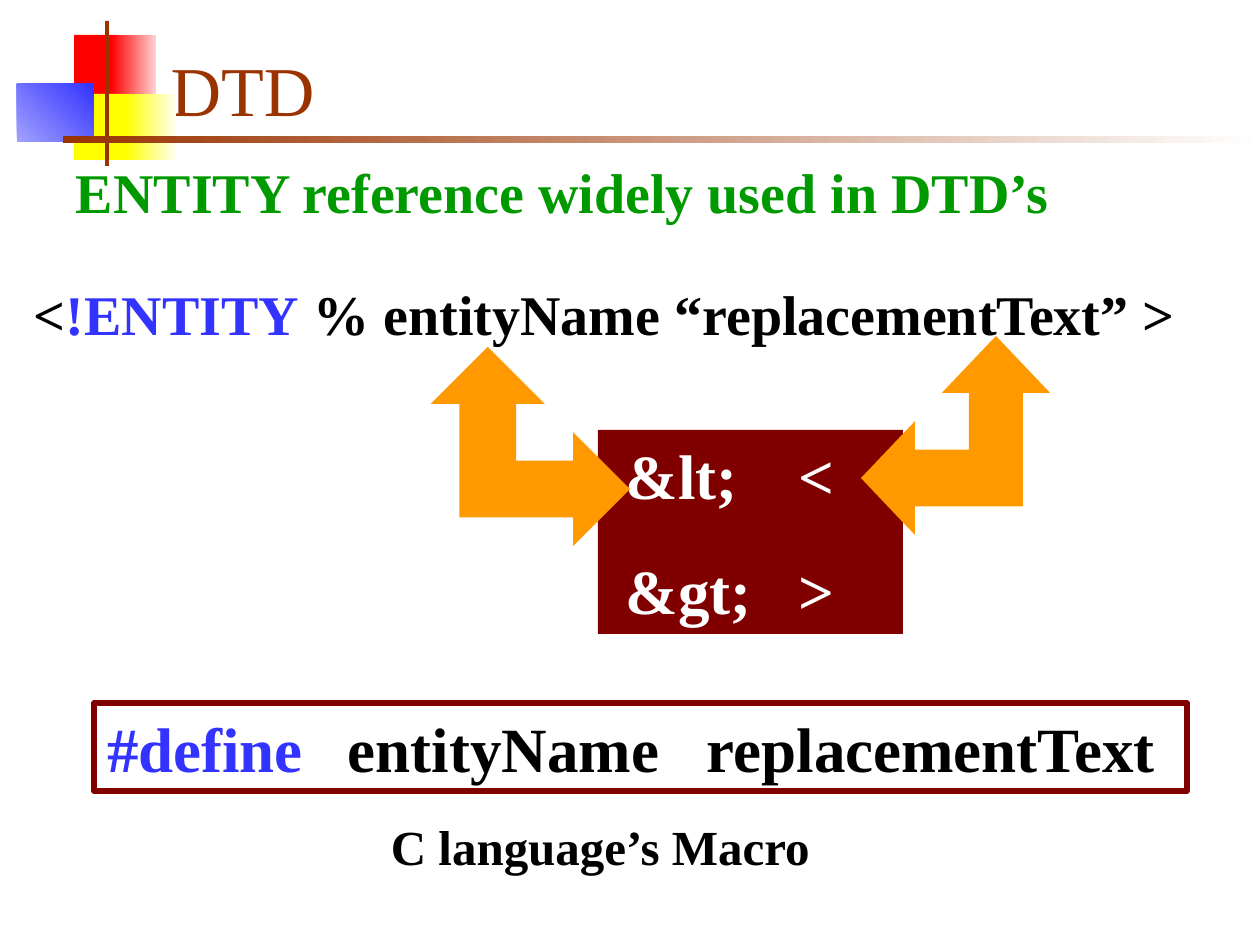
"""Build the slide on DTD entity references."""
from lxml import etree
from pptx import Presentation
from pptx import util as u
from pptx.dml.color import RGBColor
from pptx.enum import shapes, text
from pptx.oxml import ns

PX = u.Inches(1) / 126
FONT = "Times New Roman"
BLACK = RGBColor(0, 0, 0)
WHITE = RGBColor(255, 255, 255)
RED = RGBColor(255, 0, 0)
PINK = RGBColor(255, 209, 209)
YELLOW = RGBColor(255, 255, 0)
CREAM = RGBColor(255, 255, 240)
BLUE = RGBColor(51, 51, 255)
LILAC = RGBColor(162, 162, 255)
BROWN = RGBColor(153, 51, 0)
GREEN = RGBColor(0, 153, 0)
MAROON = RGBColor(128, 0, 0)
ORANGE = RGBColor(255, 153, 0)

ARROW_GRID = 7
ARROW_OUTLINE = [(2, 0), (4, 2), (3, 2), (3, 4), (5, 4), (5, 3),
                 (7, 5), (5, 7), (5, 6), (1, 6), (1, 2), (0, 2)]


def px(value):
    return u.Emu(round(value * PX))


def place(bounds):
    return [px(value) for value in bounds]


def add_block(slide, bounds, color=None):
    block = slide.shapes.add_shape(shapes.MSO_SHAPE.RECTANGLE, *place(bounds))
    block.shadow.inherit = False
    block.line.fill.background()
    if color is None:
        block.fill.background()
    else:
        block.fill.solid()
        block.fill.fore_color.rgb = color
    return block


def add_fade(slide, bounds, start, end, angle=0):
    fill = add_block(slide, bounds, start).fill
    fill.gradient()
    fill.gradient_angle = angle
    for stop, color in zip(fill.gradient_stops, (start, end)):
        stop.color.rgb = color


def add_decoration(slide):
    add_block(slide, (74, 35, 44, 66), RED)
    add_fade(slide, (111, 35, 45, 66), RED, PINK)
    add_block(slide, (74, 94, 58, 66), YELLOW)
    add_fade(slide, (126, 94, 50, 66), YELLOW, CREAM)
    add_fade(slide, (17, 84, 77, 58), LILAC, BLUE, 45)
    add_block(slide, (105, 21, 4, 145), BROWN)
    add_fade(slide, (63, 136, 1197, 7), BROWN, WHITE)


def add_run(paragraph, words, size, color, bold=True):
    run = paragraph.add_run()
    run.text = words
    run.font.name = FONT
    run.font.size = u.Pt(size)
    run.font.bold = bold
    run.font.color.rgb = color


def set_tabs(paragraph, stops):
    tab_list = etree.SubElement(paragraph._p.get_or_add_pPr(), ns.qn("a:tabLst"))
    for stop in stops:
        etree.SubElement(tab_list, ns.qn("a:tab"), pos=str(px(stop)), algn="l")


def write_lines(box, lines, size, tabs=(), left=13):
    frame = box.text_frame
    frame.word_wrap = True
    frame.vertical_anchor = text.MSO_ANCHOR.TOP
    frame.margin_left = px(left)
    for index, runs in enumerate(lines):
        line = frame.add_paragraph() if index else frame.paragraphs[0]
        line.alignment = text.PP_ALIGN.LEFT
        line.line_spacing = u.Pt(size * 1.2)
        if index:
            line.space_before = u.Pt(22.5)
        if tabs:
            set_tabs(line, tabs)
        for words, color in runs:
            add_run(line, words, size, color)


def add_label(slide, bounds, runs, size):
    write_lines(slide.shapes.add_textbox(*place(bounds)), [runs], size)


def add_bent_arrow(slide, bounds, mirrored=False):
    left, top, width, height = bounds
    points = [(px(left + (ARROW_GRID - x if mirrored else x) * width / ARROW_GRID),
               px(top + y * height / ARROW_GRID)) for x, y in ARROW_OUTLINE]
    builder = slide.shapes.build_freeform(*points[0])
    builder.add_line_segments(points[1:], close=True)
    arrow = builder.convert_to_shape()
    arrow.shadow.inherit = False
    arrow.fill.solid()
    arrow.fill.fore_color.rgb = ORANGE
    arrow.line.fill.background()


def set_title(slide, words):
    title = slide.shapes.title
    title.left, title.top, title.width, title.height = place((158, 21, 1074, 116))
    title.text_frame.vertical_anchor = text.MSO_ANCHOR.BOTTOM
    heading = title.text_frame.paragraphs[0]
    heading.alignment = text.PP_ALIGN.LEFT
    add_run(heading, words, 40, BROWN, bold=False)


def main():
    deck = Presentation()
    deck.slide_width, deck.slide_height = px(1260), px(945)
    slide = deck.slides.add_slide(deck.slide_layouts[5])
    add_decoration(slide)
    set_title(slide, "DTD")
    add_label(slide, (63, 151, 1071, 81),
              [("ENTITY reference widely used in DTD’s", GREEN)], 32)
    add_label(slide, (21, 273, 1197, 81),
              [("<", BLACK), ("!ENTITY", BLUE),
               (" % entityName “replacementText” >", BLACK)], 32)

    macro = add_block(slide, (94, 703, 1093, 88))
    macro.line.color.rgb = MAROON
    macro.line.width = u.Pt(3)
    write_lines(macro, [[("#define", BLUE), ("\tentityName\treplacementText", BLACK)]],
                36, tabs=(241, 600))

    entities = add_block(slide, (598, 430, 305, 204), MAROON)
    write_lines(entities, [[("&lt;\t<", WHITE)], [("&gt;\t>", WHITE)]],
                36, tabs=(173,), left=28)

    add_bent_arrow(slide, (431, 347, 199, 199))
    add_bent_arrow(slide, (861, 336, 189, 199), mirrored=True)
    add_label(slide, (378, 810, 494, 72), [("C language’s Macro", BLACK)], 28)
    deck.save("out.pptx")


if __name__ == "__main__":
    main()
